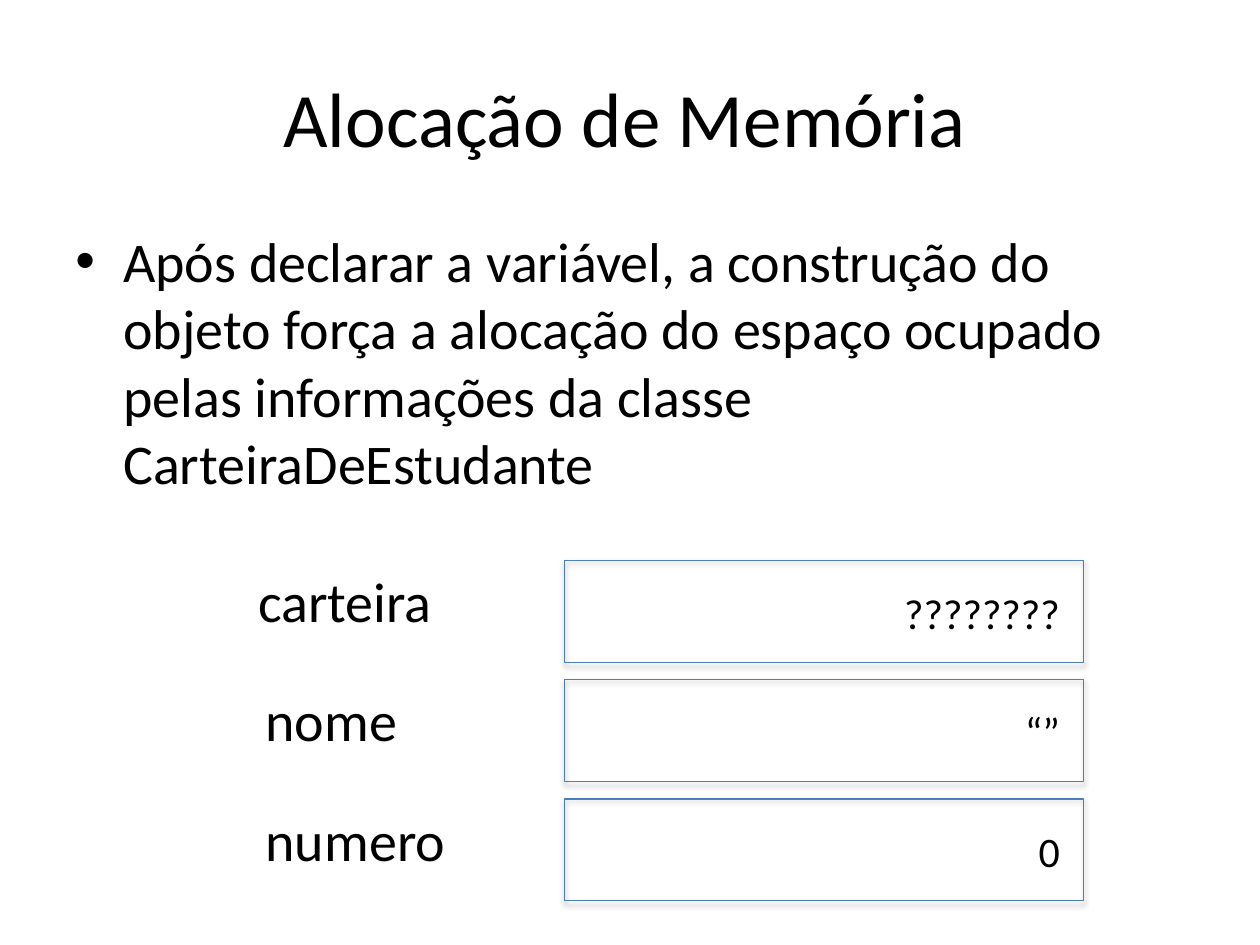
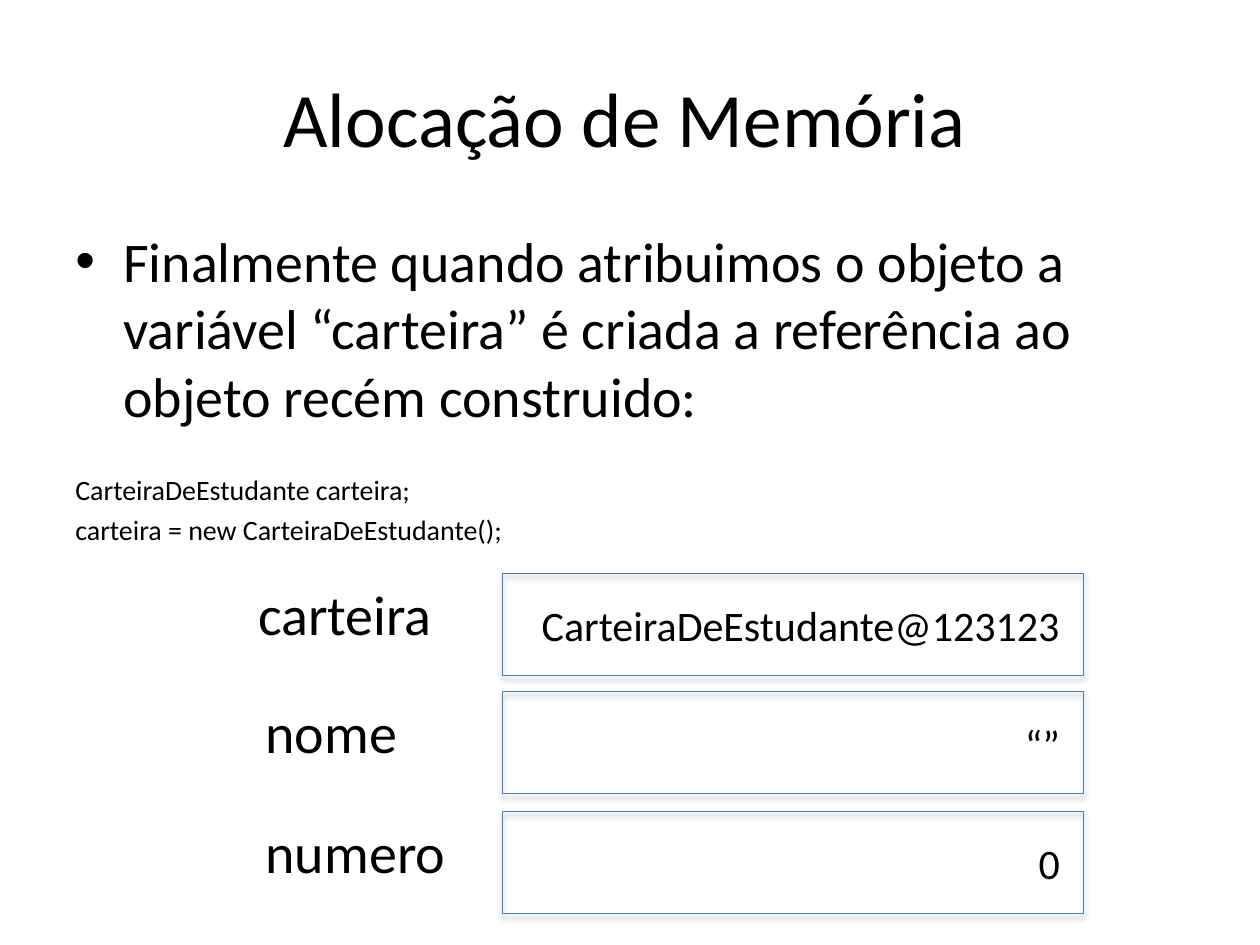
from lxml import etree
from pptx import Presentation
from pptx import util as u
from pptx.dml.color import RGBColor
from pptx.enum import shapes, text
from pptx.oxml.ns import qn

BLACK = RGBColor(0x00, 0x00, 0x00)
BLUE = RGBColor(0x4B, 0x7E, 0xBC)
FONT = "Calibri"
TITLE = "Alocação de Memória\t"
TITLE_BOX = (0.5, 0.3, 9, 1.25)
BODY_BOX = (0.5, 1.75, 9, 4.95)
CELLS_RIGHT = 8.6
CELL_HEIGHT = 0.81
ROW_OFFSETS = (0, 0.94, 1.89)
LABELS = (("carteira", 1.95), ("nome", 2.01), ("numero", 2.01))
VALUE_WIDTH = 1.82
BULLET_INDENT = 0.38

PAGES = (
    {
        "statement": "Após declarar a variável, a construção do objeto força a alocação "
                     "do espaço ocupado pelas informações da classe CarteiraDeEstudante",
        "code": (),
        "cells": (4.48, 4.45),
        "values": (("????????", VALUE_WIDTH), ("“”", VALUE_WIDTH), ("0", VALUE_WIDTH)),
    },
    {
        "statement": "Finalmente quando atribuimos o objeto a variável “carteira” "
                     "é criada a referência ao objeto recém construido:",
        "code": ("CarteiraDeEstudante carteira;", "carteira = new CarteiraDeEstudante();"),
        "cells": (3.99, 4.55),
        "values": (("CarteiraDeEstudante@123123", 4.46), ("“”", VALUE_WIDTH), ("0", VALUE_WIDTH)),
    },
)


def set_values(target, values):
    for name, value in values.items():
        setattr(target, name, value)


def write(para, words, size, **layout):
    span = para.add_run()
    span.text = words
    set_values(span.font, {"name": FONT, "size": u.Pt(size)})
    span.font.color.rgb = BLACK
    set_values(para, layout)


def add_text_box(page, box, auto_size=text.MSO_AUTO_SIZE.NONE):
    frame = page.shapes.add_textbox(*map(u.Inches, box)).text_frame
    set_values(frame, {"word_wrap": True, "auto_size": auto_size})
    return frame


def add_label(page, box, words, size, alignment):
    frame = add_text_box(page, box, text.MSO_AUTO_SIZE.SHAPE_TO_FIT_TEXT)
    write(frame.paragraphs[0], words, size, alignment=alignment)


def add_bullet(para):
    props = para._p.get_or_add_pPr()
    props.set("marL", str(u.Inches(BULLET_INDENT)))
    props.set("indent", str(-u.Inches(BULLET_INDENT)))
    etree.SubElement(props, qn("a:buFont"), typeface="Arial")
    etree.SubElement(props, qn("a:buChar"), char="•")


def add_shadow(shape):
    effects = etree.SubElement(shape._element.spPr, qn("a:effectLst"))
    shadow = etree.SubElement(effects, qn("a:outerShdw"), blurRad=str(u.Pt(3.1)),
                              dist=str(u.Pt(1.8)), dir="5400000", rotWithShape="0")
    color = etree.SubElement(shadow, qn("a:srgbClr"), val=str(BLACK))
    etree.SubElement(color, qn("a:alpha"), val="35000")


def add_title(page, box):
    title = page.shapes.title
    set_values(title, dict(zip(("left", "top", "width", "height"), map(u.Inches, box))))
    set_values(title.text_frame, {"word_wrap": True, "vertical_anchor": text.MSO_ANCHOR.MIDDLE})
    write(title.text_frame.paragraphs[0], TITLE, 44, alignment=text.PP_ALIGN.CENTER)


def add_body(page, box, statement, code):
    frame = add_text_box(page, box)
    write(frame.paragraphs[0], statement, 32, space_before=u.Pt(6.4))
    add_bullet(frame.paragraphs[0])
    for index, line in enumerate(code):
        write(frame.add_paragraph(), line, 16, space_before=u.Pt(3.2 if index else 25.5))


def add_memory_cell(page, box):
    cell = page.shapes.add_shape(shapes.MSO_SHAPE.RECTANGLE, *map(u.Inches, box))
    cell.fill.background()
    cell.line.color.rgb = BLUE
    cell.line.width = u.Pt(0.75)
    add_shadow(cell)


def add_memory(page, left, top, values):
    for offset, (label, label_left), (value, width) in zip(ROW_OFFSETS, LABELS, values):
        row = top + offset
        add_memory_cell(page, (left, row, CELLS_RIGHT - left, CELL_HEIGHT))
        add_label(page, (label_left, row, 2.04, 0.64), label, 32, text.PP_ALIGN.LEFT)
        add_label(page, (CELLS_RIGHT - 0.09 - width, row + 0.16, width, 0.5),
                  value, 24, text.PP_ALIGN.RIGHT)


def add_page(deck, content):
    page = deck.slides.add_slide(deck.slide_layouts.get_by_name("Title Only"))
    add_title(page, TITLE_BOX)
    add_body(page, BODY_BOX, content["statement"], content["code"])
    add_memory(page, *content["cells"], content["values"])


def main():
    deck = Presentation()
    set_values(deck, {"slide_width": u.Inches(10), "slide_height": u.Inches(7.5)})
    for content in PAGES:
        add_page(deck, content)
    deck.save("out.pptx")


if __name__ == "__main__":
    main()
